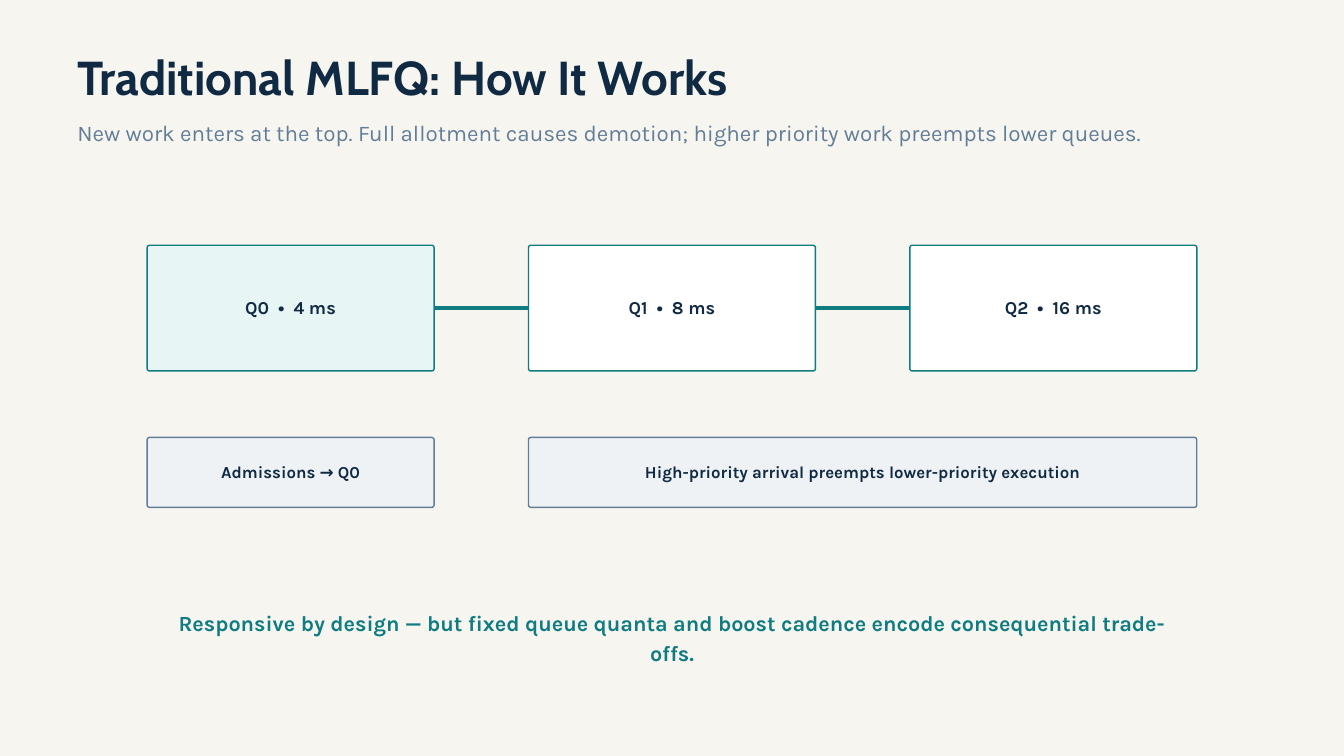
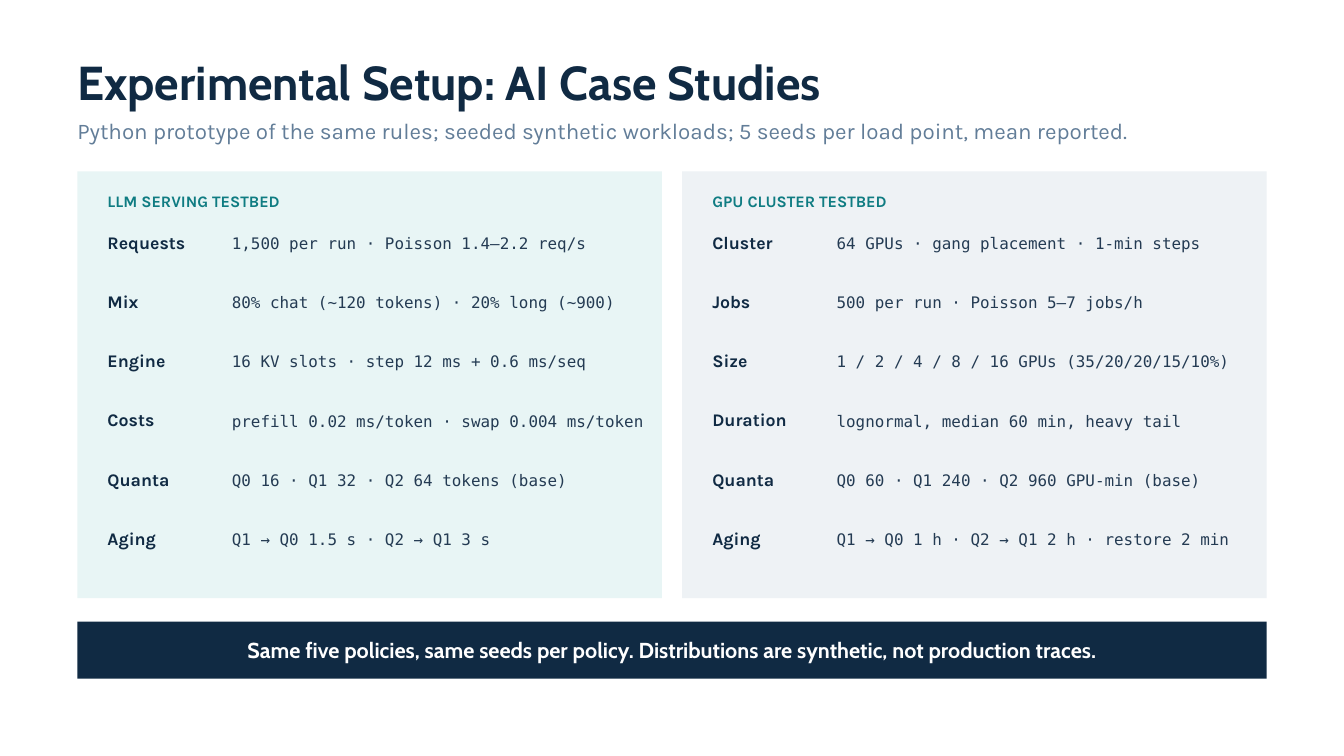
from dataclasses import dataclass, replace
from typing import NamedTuple, Optional

from lxml.etree import SubElement
from pptx import Presentation
from pptx.dml.color import RGBColor
from pptx.enum.shapes import MSO_CONNECTOR as Connector, MSO_SHAPE as Preset
from pptx.enum.text import MSO_ANCHOR as Anchor, MSO_AUTO_SIZE as AutoSize, PP_ALIGN as Align
from pptx.oxml.ns import qn
from pptx.shapes.autoshape import Shape
from pptx.slide import Slide
from pptx.text.text import TextFrame
from pptx.util import Inches, Pt

SLIDE_WIDTH, SLIDE_HEIGHT = Inches(20), Inches(11.25)
COLUMN, ROW = SLIDE_WIDTH / 20, SLIDE_HEIGHT / 11.25

NAVY, INK, SLATE, TEAL = "102A43", "243B53", "627D98", "0F7C82"
MINT, MIST, CREAM, WHITE = "E8F5F5", "EEF2F5", "F7F5EF", "FFFFFF"
HEADING_FONT, BODY_FONT, MONO_FONT = "Cabin", "Karla", "DejaVu Sans Mono"

MARGIN = 1.15
CONTENT_WIDTH = 17.7
CORNER_RADIUS = 0.035


class Area(NamedTuple):
    left: float
    top: float
    width: float
    height: float

    def lengths(self) -> tuple[int, int, int, int]:
        return (round(self.left * COLUMN), round(self.top * ROW),
                round(self.width * COLUMN), round(self.height * ROW))


@dataclass(frozen=True)
class TextStyle:
    size: float
    color: str = NAVY
    font: str = BODY_FONT
    bold: bool = True
    align: Align = Align.LEFT
    line_height: Optional[float] = None


@dataclass(frozen=True)
class Box:
    area: Area
    fill: str
    outline: Optional[str] = None
    text: str = ""
    style: Optional[TextStyle] = None
    inset: float = 0.06


@dataclass(frozen=True)
class Testbed:
    heading: str
    fill: str
    settings: dict[str, str]


TITLE = TextStyle(51, font=HEADING_FONT)
SUBTITLE = TextStyle(24, SLATE, bold=False)
QUEUE = TextStyle(19.5, align=Align.CENTER, line_height=22.4)
RULE = TextStyle(18, align=Align.CENTER, line_height=20.7)
TAKEAWAY = TextStyle(23.2, TEAL, align=Align.CENTER, line_height=32.5)
TESTBED_HEADING = TextStyle(17.2, TEAL)
SETTING_NAME = TextStyle(19)
SETTING_VALUE = TextStyle(17, INK, MONO_FONT, bold=False)
BANNER = TextStyle(23.2, WHITE, HEADING_FONT, align=Align.CENTER)

QUEUES = ["Q0  •  4 ms", "Q1  •  8 ms", "Q2  •  16 ms"]
QUEUE_LEFT, QUEUE_WIDTH, QUEUE_PITCH = 2.19, 4.27, 5.675
QUEUE_TOP, QUEUE_HEIGHT = 3.65, 1.87
RULE_TOP, RULE_HEIGHT = 6.51, 1.04

TESTBEDS = [
    Testbed("LLM SERVING TESTBED", MINT, {
        "Requests": "1,500 per run · Poisson 1.4–2.2 req/s",
        "Mix": "80% chat (~120 tokens) · 20% long (~900)",
        "Engine": "16 KV slots · step 12 ms + 0.6 ms/seq",
        "Costs": "prefill 0.02 ms/token · swap 0.004 ms/token",
        "Quanta": "Q0 16 · Q1 32 · Q2 64 tokens (base)",
        "Aging": "Q1 → Q0 1.5 s · Q2 → Q1 3 s",
    }),
    Testbed("GPU CLUSTER TESTBED", MIST, {
        "Cluster": "64 GPUs · gang placement · 1-min steps",
        "Jobs": "500 per run · Poisson 5–7 jobs/h",
        "Size": "1 / 2 / 4 / 8 / 16 GPUs (35/20/20/15/10%)",
        "Duration": "lognormal, median 60 min, heavy tail",
        "Quanta": "Q0 60 · Q1 240 · Q2 960 GPU-min (base)",
        "Aging": "Q1 → Q0 1 h · Q2 → Q1 2 h · restore 2 min",
    }),
]
PANEL_TOP, PANEL_WIDTH, PANEL_HEIGHT, PANEL_PITCH = 2.55, 8.7, 6.35, 9
PANEL_PADDING, VALUE_OFFSET = 0.45, 2.3
SETTING_TOP, SETTING_PITCH = 3.45, 0.88


def color(value: str) -> RGBColor:
    return RGBColor.from_string(value)


def apply(target: object, formats: dict[str, object]) -> None:
    for name, value in formats.items():
        setattr(target, name, value)


def write(frame: TextFrame, text: str, style: TextStyle, inset: float = 0) -> None:
    margin = round(inset * COLUMN)
    apply(frame, {"word_wrap": True, "margin_left": margin, "margin_right": margin,
                  "margin_top": margin, "margin_bottom": margin})
    paragraph = frame.paragraphs[0]
    paragraph.alignment = style.align
    if style.line_height:
        paragraph.line_spacing = Pt(style.line_height)
    run = paragraph.add_run()
    run.text = text
    apply(run.font, {"size": Pt(style.size), "name": style.font, "bold": style.bold})
    run.font.color.rgb = color(style.color)


def add_text(slide: Slide, area: Area, text: str, style: TextStyle) -> None:
    frame = slide.shapes.add_textbox(*area.lengths()).text_frame
    write(frame, text, style)
    frame.auto_size = AutoSize.SHAPE_TO_FIT_TEXT


def add_box(slide: Slide, box: Box) -> Shape:
    preset = Preset.ROUNDED_RECTANGLE if box.outline else Preset.RECTANGLE
    shape = slide.shapes.add_shape(preset, *box.area.lengths())
    shape.shadow.inherit = False
    shape.fill.solid()
    shape.fill.fore_color.rgb = color(box.fill)
    if box.outline:
        shape.adjustments[0] = CORNER_RADIUS / min(box.area.width, box.area.height)
        shape.line.color.rgb = color(box.outline)
        shape.line.width = Pt(1.5)
    else:
        shape.line.fill.background()
    if box.style:
        write(shape.text_frame, box.text, box.style, box.inset)
        shape.text_frame.vertical_anchor = Anchor.MIDDLE
    return shape


def add_link(slide: Slide, source: Shape, target: Shape) -> None:
    connector = slide.shapes.add_connector(Connector.STRAIGHT, 0, 0, 0, 0)
    connector.begin_connect(source, 3)
    connector.end_connect(target, 1)
    connector.line.color.rgb = color(TEAL)
    connector.line.width = Pt(3.75)
    SubElement(connector._element.spPr, qn("a:effectLst"))


def add_slide(presentation: Presentation, background: str, title: str, subtitle: str,
              title_line: Optional[float] = None,
              subtitle_line: Optional[float] = None) -> Slide:
    slide = presentation.slides.add_slide(presentation.slide_layouts[6])
    slide.background.fill.solid()
    slide.background.fill.fore_color.rgb = color(background)
    add_text(slide, Area(MARGIN, 0.79, CONTENT_WIDTH, 0.78), title,
             replace(TITLE, line_height=title_line))
    add_text(slide, Area(MARGIN, 1.74, 17, 0.42), subtitle,
             replace(SUBTITLE, line_height=subtitle_line))
    return slide


def build_queues(presentation: Presentation) -> None:
    slide = add_slide(
        presentation, CREAM, "Traditional MLFQ: How It Works",
        "New work enters at the top. Full allotment causes demotion; "
        "higher priority work preempts lower queues.", 55.1, 31.2)
    lefts = [QUEUE_LEFT + index * QUEUE_PITCH for index in range(len(QUEUES))]
    queues = [
        add_box(slide, Box(Area(left, QUEUE_TOP, QUEUE_WIDTH, QUEUE_HEIGHT),
                           MINT if left == QUEUE_LEFT else WHITE, TEAL, label, QUEUE))
        for left, label in zip(lefts, QUEUES)
    ]
    for source, target in zip(queues, queues[1:]):
        add_link(slide, source, target)
    rules = [
        (lefts[0], QUEUE_WIDTH, "Admissions → Q0"),
        (lefts[1], QUEUE_PITCH + QUEUE_WIDTH,
         "High-priority arrival preempts lower-priority execution"),
    ]
    for left, width, label in rules:
        add_box(slide, Box(Area(left, RULE_TOP, width, RULE_HEIGHT),
                           MIST, SLATE, label, RULE))
    add_text(slide, Area(2.5, 9.01, 15, 0.44),
             "Responsive by design — but fixed queue quanta and boost cadence "
             "encode consequential trade-offs.", TAKEAWAY)


def add_testbed(slide: Slide, left: float, testbed: Testbed) -> None:
    add_box(slide, Box(Area(left, PANEL_TOP, PANEL_WIDTH, PANEL_HEIGHT), testbed.fill))
    name_left = left + PANEL_PADDING
    add_text(slide, Area(name_left, 2.85, 8, 0.33), testbed.heading, TESTBED_HEADING)
    for index, (name, value) in enumerate(testbed.settings.items()):
        top = SETTING_TOP + index * SETTING_PITCH
        add_text(slide, Area(name_left, top, 1.8, 0.5), name, SETTING_NAME)
        add_text(slide, Area(left + VALUE_OFFSET, top + 0.03, 6.2, 0.5),
                 value, SETTING_VALUE)


def build_setup(presentation: Presentation) -> None:
    slide = add_slide(
        presentation, WHITE, "Experimental Setup: AI Case Studies",
        "Python prototype of the same rules; seeded synthetic workloads; "
        "5 seeds per load point, mean reported.")
    for index, testbed in enumerate(TESTBEDS):
        add_testbed(slide, MARGIN + index * PANEL_PITCH, testbed)
    add_box(slide, Box(
        Area(MARGIN, 9.25, CONTENT_WIDTH, 0.85), NAVY,
        text="Same five policies, same seeds per policy. "
             "Distributions are synthetic, not production traces.",
        style=BANNER, inset=0))


def main() -> None:
    presentation = Presentation()
    apply(presentation, {"slide_width": SLIDE_WIDTH, "slide_height": SLIDE_HEIGHT})
    build_queues(presentation)
    build_setup(presentation)
    presentation.save("out.pptx")


if __name__ == "__main__":
    main()
